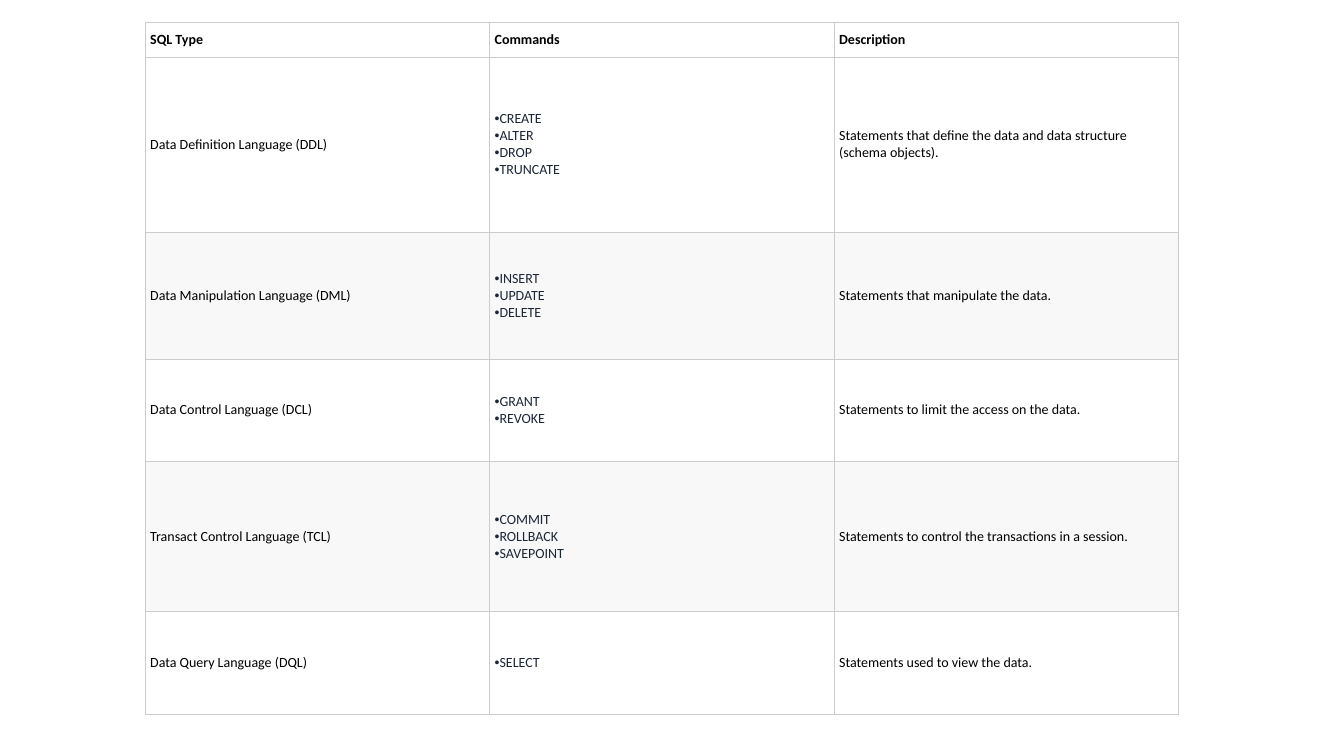
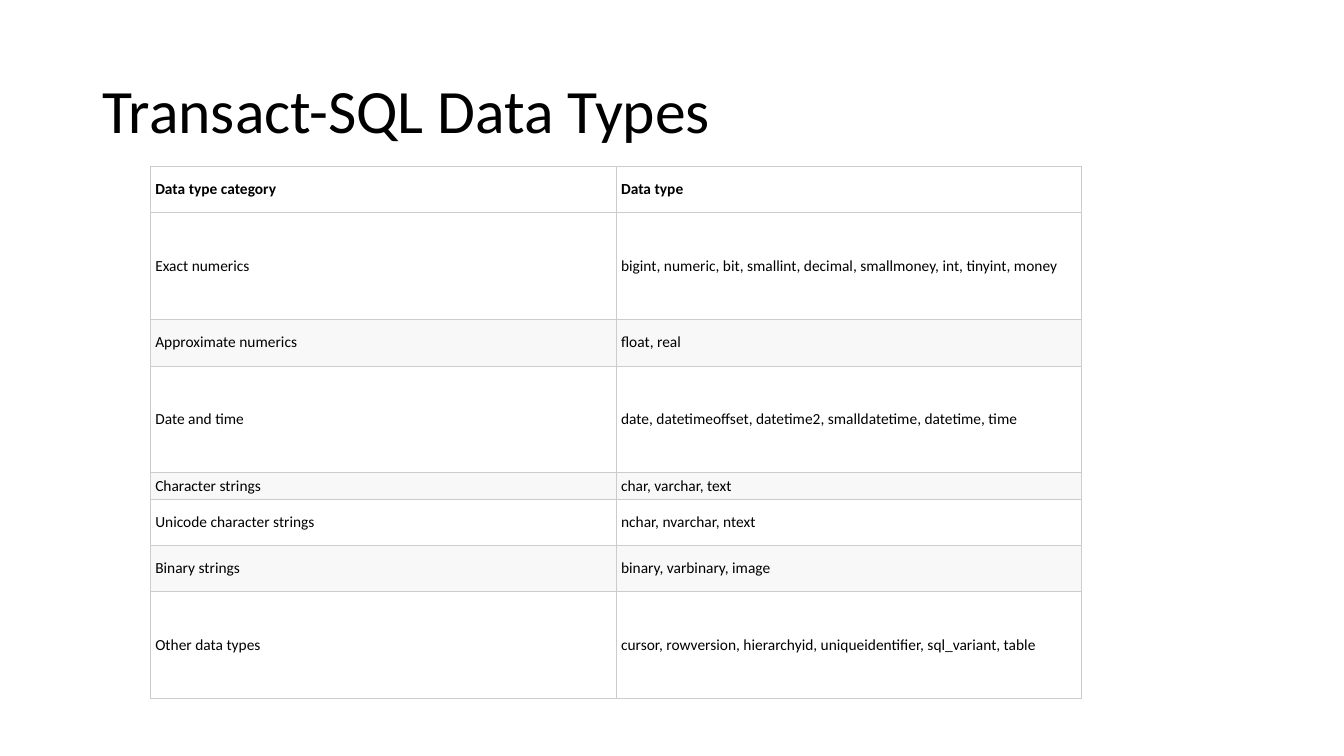
from dataclasses import dataclass

from lxml import etree
from pptx import Presentation
from pptx.dml.color import RGBColor
from pptx.enum.text import MSO_ANCHOR
from pptx.oxml.ns import qn
from pptx.slide import Slide
from pptx.table import _Cell
from pptx.text.text import _Paragraph
from pptx.util import Inches, Pt

BLACK = RGBColor(0x00, 0x00, 0x00)
NAVY = RGBColor(0x1B, 0x27, 0x38)
WHITE = RGBColor(0xFF, 0xFF, 0xFF)
PALE = RGBColor(0xF8, 0xF8, 0xF8)
GREY = RGBColor(0xCC, 0xCC, 0xCC)
FONT = "Calibri"
MIDDLE = MSO_ANCHOR.MIDDLE
BLANK = 6


@dataclass(frozen=True)
class Row:
    height: float
    cells: tuple[str | tuple[str, ...], ...]  # an inner tuple is a bullet list


@dataclass(frozen=True)
class Grid:
    left: float
    top: float
    width: float
    size: int
    inset: float
    rows: tuple[Row, ...]


SQL = Grid(1.44, 0.22, 10.25, 10, 0.02, (
    Row(0.35, ("SQL Type", "Commands", "Description")),
    Row(1.73, ("Data Definition Language (DDL)",
               ("CREATE", "ALTER", "DROP", "TRUNCATE"),
               "Statements that define the data and data structure (schema objects).")),
    Row(1.26, ("Data Manipulation Language (DML)",
               ("INSERT", "UPDATE", "DELETE"),
               "Statements that manipulate the data.")),
    Row(1.02, ("Data Control Language (DCL)",
               ("GRANT", "REVOKE"),
               "Statements to limit the access on the data.")),
    Row(1.49, ("Transact Control Language (TCL)",
               ("COMMIT", "ROLLBACK", "SAVEPOINT"),
               "Statements to control the transactions in a session.")),
    Row(1.02, ("Data Query Language (DQL)",
               ("SELECT",),
               "Statements used to view the data.")),
))

TYPES = Grid(1.49, 1.65, 9.24, 11, 0.03, (
    Row(0.46, ("Data type category", "Data type")),
    Row(1.06, ("Exact numerics",
               "bigint, numeric, bit, smallint, decimal, smallmoney, int, tinyint, money")),
    Row(0.46, ("Approximate numerics", "float, real")),
    Row(1.06, ("Date and time",
               "date, datetimeoffset, datetime2, smalldatetime, datetime, time")),
    Row(0.26, ("Character strings", "char, varchar, text")),
    Row(0.46, ("Unicode character strings", "nchar, nvarchar, ntext")),
    Row(0.46, ("Binary strings", "binary, varbinary, image")),
    Row(1.06, ("Other data types",
               "cursor, rowversion, hierarchyid, uniqueidentifier, sql_variant, table")),
))


# Text
def add_run(para: _Paragraph, text: str, size: int,
            color: RGBColor = BLACK, bold: bool = False) -> None:
    run = para.add_run()
    run.text = text
    font = run.font
    font.name, font.size, font.bold = FONT, Pt(size), bold
    font.color.rgb = color


def add_bullet(para: _Paragraph) -> None:
    props = para._p.get_or_add_pPr()
    props.set("marL", "0")
    props.set("indent", "0")
    etree.SubElement(props, qn("a:buFont"), typeface="Arial")
    etree.SubElement(props, qn("a:buChar"), char="•")


def add_title(slide: Slide, text: str) -> None:
    box = slide.shapes.add_textbox(Inches(0.92), Inches(0.4), Inches(11.5), Inches(1.45))
    frame = box.text_frame
    frame.word_wrap = True
    frame.vertical_anchor = MIDDLE
    para = frame.paragraphs[0]
    para.line_spacing = 0.9
    add_run(para, text, 44)


# Table
def add_border(cell: _Cell) -> None:
    props = cell._tc.get_or_add_tcPr()
    for side in ("lnL", "lnR", "lnT", "lnB"):
        line = etree.SubElement(props, qn(f"a:{side}"), w=str(Pt(0.5)))
        fill = etree.SubElement(line, qn("a:solidFill"))
        etree.SubElement(fill, qn("a:srgbClr"), val=str(GREY))


def fill_cell(cell: _Cell, item: str | tuple[str, ...], grid: Grid, index: int) -> None:
    add_border(cell)
    cell.fill.solid()
    cell.fill.fore_color.rgb = PALE if index and index % 2 == 0 else WHITE
    cell.vertical_anchor = MIDDLE
    cell.margin_left = cell.margin_right = Inches(0.05)
    cell.margin_top = cell.margin_bottom = Inches(grid.inset)
    frame = cell.text_frame
    listed = isinstance(item, tuple)
    for i, text in enumerate(item if listed else (item,)):
        para = frame.add_paragraph() if i else frame.paragraphs[0]
        if listed:
            add_bullet(para)
        add_run(para, text, grid.size, NAVY if listed else BLACK, index == 0)


def add_grid(slide: Slide, grid: Grid) -> None:
    count = len(grid.rows[0].cells)
    height = sum(row.height for row in grid.rows)
    table = slide.shapes.add_table(
        len(grid.rows), count, Inches(grid.left), Inches(grid.top),
        Inches(grid.width), Inches(height)).table
    table.horz_banding = False
    for col in table.columns:
        col.width = Inches(grid.width / count)
    for r, row in enumerate(grid.rows):
        table.rows[r].height = Inches(row.height)
        for c, item in enumerate(row.cells):
            fill_cell(table.cell(r, c), item, grid, r)


def add_slide(deck: Presentation) -> Slide:
    slide = deck.slides.add_slide(deck.slide_layouts[BLANK])
    slide.background.fill.solid()
    slide.background.fill.fore_color.rgb = WHITE
    return slide


def main() -> None:
    deck = Presentation()
    deck.slide_width, deck.slide_height = Inches(13.33), Inches(7.5)

    # SQL statement types
    add_grid(add_slide(deck), SQL)

    # Data types
    slide = add_slide(deck)
    add_title(slide, "Transact-SQL Data Types")
    add_grid(slide, TYPES)

    deck.save("out.pptx")


if __name__ == "__main__":
    main()
